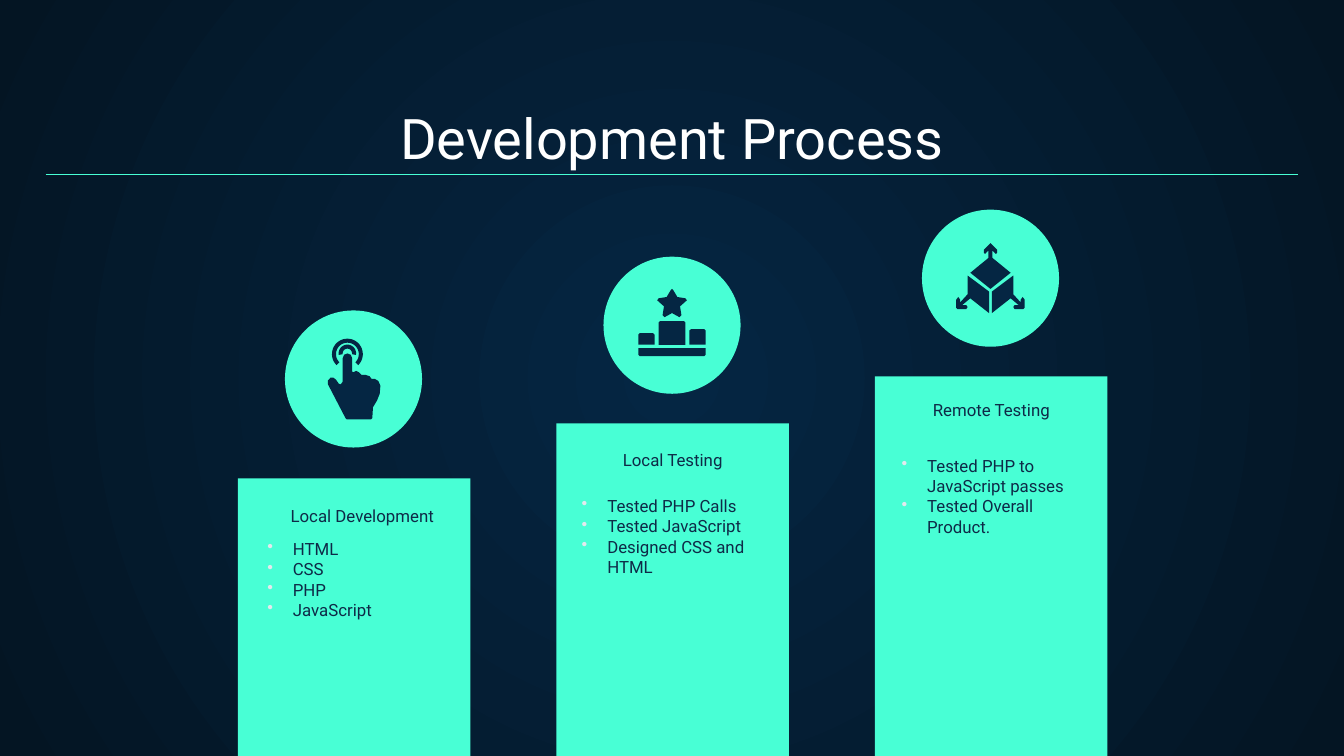
from dataclasses import dataclass
from math import cos, radians, sin

from lxml.etree import SubElement
from pptx import Presentation
from pptx.dml.color import RGBColor
from pptx.enum.shapes import MSO_CONNECTOR, MSO_SHAPE
from pptx.enum.text import MSO_ANCHOR, PP_ALIGN
from pptx.oxml.ns import qn
from pptx.util import Inches, Pt


@dataclass(frozen=True)
class Theme:
    navy: str = "052643"
    night: str = "041523"
    mint: str = "48FFD5"
    white: str = "FFFFFF"
    ink: str = "0E2A47"
    dot: str = "E3E9ED"
    font: str = "Roboto"
    title: float = 30
    body: float = 9


THEME = Theme()
WIDE = 10
HIGH = WIDE * 9 / 16


def color(code):
    return RGBColor.from_string(code)


def paint(shape, code):
    shape.shadow.inherit = False
    shape.fill.solid()
    shape.fill.fore_color.rgb = color(code)
    shape.line.fill.background()


def add_form(slide, kind, box, code):
    shape = slide.shapes.add_shape(kind, *map(Inches, box))
    paint(shape, code)


def add_text(slide, box, lines, size, code, align=PP_ALIGN.LEFT, anchor=MSO_ANCHOR.TOP):
    frame = slide.shapes.add_textbox(*map(Inches, box)).text_frame
    frame.word_wrap = True
    frame.vertical_anchor = anchor
    frame.margin_left = frame.margin_right = Inches(0.1)
    frame.margin_top = frame.margin_bottom = Inches(0.1)
    frame.text = "\n".join(lines)
    for para in frame.paragraphs:
        para.alignment = align
        for run in para.runs:
            run.font.name = THEME.font
            run.font.size = Pt(size)
            run.font.color.rgb = color(code)
    return frame


def add_dots(frame):
    for para in frame.paragraphs:
        props = para._p.get_or_add_pPr()
        props.set("marL", str(Inches(0.19)))
        props.set("indent", str(-Inches(0.19)))
        tint = SubElement(props, qn("a:buClr"))
        SubElement(tint, qn("a:srgbClr"), val=THEME.dot)
        SubElement(props, qn("a:buChar"), char="•")


def arc(mid_x, mid_y, size, first, last):
    step = (last - first) / 32
    turns = [radians(first + step * i) for i in range(33)]
    return [(mid_x + size * cos(t), mid_y + size * sin(t)) for t in turns]


def ring(mid_x, mid_y, outer, inner, first, last):
    return arc(mid_x, mid_y, outer, first, last) + arc(mid_x, mid_y, inner, last, first)


def block(left, top, right, base):
    return [(left, base), (left, top + 1), (left + 1, top),
            (right - 1, top), (right, top + 1), (right, base)]


def mirror(points):
    return [(102 - x, y) for x, y in points]


HAND = [
    ring(46.5, 32.5, 11.5, 8.5, 135, 405),
    ring(46.5, 32, 6.5, 3.5, 170, 370),
    [(43, 35.5), (44, 33), (46.5, 32), (49, 33), (50, 35.5), (50, 45.5),
     (51, 46), (53, 45), (55, 46), (57, 48), (60, 48), (63, 49), (64.5, 51),
     (67, 51), (69.5, 52.5), (71, 56), (70.5, 62), (68.5, 67), (65.5, 72),
     (65, 80), (64, 81), (46, 81), (45, 80), (32, 55), (32, 52),
     (34, 50), (36, 50), (38, 51.5), (40, 54.5), (41.5, 55), (43, 53)],
]
STAR_HALF = [(51, 24), (50, 25), (47, 30), (41, 31), (40, 32.5),
             (45, 37), (44, 43.5), (45.5, 45), (51, 42)]
STAND = [
    STAR_HALF + mirror(STAR_HALF)[::-1],
    block(26, 57, 38, 65.5),
    block(41, 48, 61, 65.5),
    block(64, 54, 76, 65.5),
    [(26, 68), (76, 68), (76, 73), (75, 74), (27, 74), (26, 73)],
]
CUBE_SIDE = [
    (68, 49), (52, 61), (52, 77), (66, 66), (72, 71), (69, 71), (68, 72.5),
    (69, 74), (75.5, 74), (76.5, 73), (76.5, 67), (75, 65), (73.5, 67),
    (73.5, 69), (68, 63),
]
CUBE_HALF = [
    (51, 25), (50, 26), (46, 30), (46, 32), (47, 33), (48, 32), (49.5, 30.5),
    (49.5, 36), (36, 47), (51, 59),
]
CUBE = [CUBE_SIDE, mirror(CUBE_SIDE), CUBE_HALF + mirror(CUBE_HALF)[::-1]]


def add_icon(slide, left, top, parts):
    add_form(slide, MSO_SHAPE.OVAL, (left, top, 1.02, 1.02), THEME.mint)
    for points in parts:
        first, *rest = [(Inches(x / 100), Inches(y / 100)) for x, y in points]
        pen = slide.shapes.build_freeform(*first)
        pen.add_line_segments(rest)
        paint(pen.convert_to_shape(Inches(left), Inches(top)), THEME.navy)


def add_step(slide, left, top, name, lines, parts, shift, head, drop, inset, rise):
    width = 1.73
    add_form(slide, MSO_SHAPE.RECTANGLE, (left, top, width, 5.66 - top), THEME.mint)
    add_text(slide, (left - 0.27 + shift, top + head, 2.27, 0.21), [name],
             THEME.body, THEME.ink, PP_ALIGN.CENTER, MSO_ANCHOR.BOTTOM)
    frame = add_text(slide, (left + inset, top + drop, 1.52, 0.55), lines,
                     THEME.body, THEME.ink)
    add_dots(frame)
    add_icon(slide, left + 0.35, top - rise, parts)


def add_head(slide, left, top, width, height):
    add_text(slide, (left, top, width, height), ["Development Process"],
             THEME.title, THEME.white, PP_ALIGN.CENTER, MSO_ANCHOR.BOTTOM)
    level = Inches(top + 0.59)
    rule = slide.shapes.add_connector(
        MSO_CONNECTOR.STRAIGHT, Inches(left), level, Inches(left + width), level)
    rule.line.color.rgb = color(THEME.mint)
    rule.line.width = Pt(0.75)
    SubElement(rule._element.spPr, qn("a:effectLst"))


def add_back(slide):
    fill = slide.background.fill
    fill.gradient()
    for stop, code, place in zip(fill.gradient_stops, (THEME.navy, THEME.night), (0, 1)):
        stop.color.rgb = color(code)
        stop.position = place
    grad = slide._element.find(".//" + qn("a:gradFill"))
    grad.remove(grad.find(qn("a:lin")))
    glow = SubElement(grad, qn("a:path"), path="circle")
    SubElement(glow, qn("a:fillToRect"), l="50000", t="50000", r="50000", b="50000")


def main():
    deck = Presentation()
    deck.slide_width, deck.slide_height = Inches(WIDE), Inches(HIGH)
    slide = deck.slides.add_slide(deck.slide_layouts[6])
    add_back(slide)
    add_head(slide, 0.34, 0.71, 9.32, 0.66)
    steps = [
        (3.56, "Local Development", ["HTML", "CSS", "PHP", "JavaScript"],
         HAND, 0.06, 0.22, 0.35, 0.12, 1.25),
        (3.15, "Local Testing",
         ["Tested PHP Calls", "Tested JavaScript", "Designed CSS and HTML"],
         STAND, 0, 0.21, 0.44, 0.09, 1.24),
        (2.8, "Remote Testing",
         ["Tested PHP to JavaScript passes", "Tested Overall Product."],
         CUBE, 0, 0.19, 0.49, 0.1, 1.24),
    ]
    for i, step in enumerate(steps):
        add_step(slide, 1.77 + 2.37 * i, *step)
    deck.save("out.pptx")


if __name__ == "__main__":
    main()
